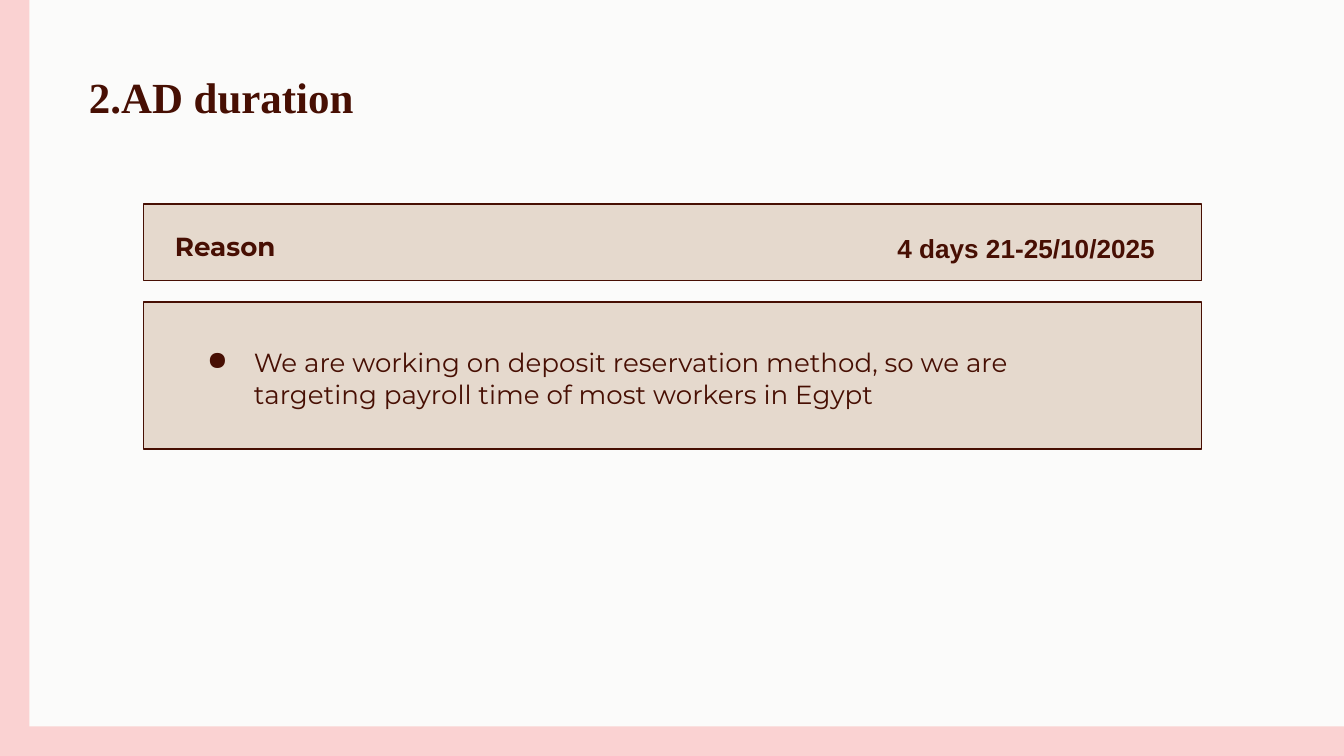
from lxml import etree
from pptx import Presentation
from pptx.dml.color import RGBColor
from pptx.enum.shapes import MSO_SHAPE
from pptx.enum.text import MSO_ANCHOR
from pptx.oxml.ns import qn
from pptx.util import Pt

RECTANGLE = MSO_SHAPE.RECTANGLE
TOP, MIDDLE = MSO_ANCHOR.TOP, MSO_ANCHOR.MIDDLE

COLORS = {"page": "FBFBFA", "border": "FAD2D2", "panel": "E5D9CD", "ink": "470F03"}
WIDTH, HEIGHT, BORDER = 720, 405, 15.8
PANEL_LEFT, PANEL_WIDTH = 77, 566.6
INSET = 7.2

# Content: places are left, top, width, height
BORDERS = [(0, HEIGHT - BORDER, WIDTH, BORDER), (0, 0, BORDER, HEIGHT)]
PANELS = [(PANEL_LEFT, 109.4, PANEL_WIDTH, 40.8), (PANEL_LEFT, 161.8, PANEL_WIDTH, 78.8)]
TEXTS = [
    {"text": "2.AD duration", "place": (40.5, 28.8, 214.6, 45.4), "anchor": MIDDLE,
     "font": {"name": "Times New Roman", "size": Pt(23), "bold": True}},
    {"text": "4 days 21-25/10/2025", "place": (473.6, 114.6, 170, 31.7), "spacing": 1.15,
     "font": {"name": "Arial", "size": Pt(14), "bold": True}},
    {"text": "Reason", "place": (86.6, 116, 127.4, 28),
     "font": {"name": "Montserrat", "size": Pt(14), "bold": True}},
    {"text": "We are working on deposit reservation method, so we are "
             "targeting payroll time of most workers in Egypt",
     "place": (92.9, 178.6, 489.6, 48.2), "bullet": "●",
     "font": {"name": "Montserrat", "size": Pt(14), "bold": False}},
]


def color(name):
    return RGBColor.from_string(COLORS[name])


def add_rectangle(page, place, fill, line=None):
    shape = page.shapes.add_shape(RECTANGLE, *map(Pt, place))
    shape.shadow.inherit = False
    shape.fill.solid()
    shape.fill.fore_color.rgb = color(fill)
    if line:
        shape.line.color.rgb = color(line)
        shape.line.width = Pt(0.75)
    else:
        shape.line.fill.background()


def add_bullet(para, mark):
    properties = para._p.get_or_add_pPr()
    properties.set("marL", str(Pt(36)))
    properties.set("indent", str(-Pt(25)))
    bullet_color = etree.SubElement(properties, qn("a:buClr"))
    etree.SubElement(bullet_color, qn("a:srgbClr"), val=COLORS["ink"])
    etree.SubElement(properties, qn("a:buChar"), char=mark)


def add_text(page, item):
    box = page.shapes.add_textbox(*map(Pt, item["place"]))
    frame = box.text_frame
    frame.word_wrap = True
    frame.vertical_anchor = item.get("anchor", TOP)
    for side in ("left", "top", "right", "bottom"):
        setattr(frame, f"margin_{side}", Pt(INSET))
    para = frame.paragraphs[0]
    if "bullet" in item:
        add_bullet(para, item["bullet"])
    if "spacing" in item:
        para.line_spacing = item["spacing"]
    span = para.add_run()
    span.text = item["text"]
    for name, value in item["font"].items():
        setattr(span.font, name, value)
    span.font.color.rgb = color("ink")


def main():
    deck = Presentation()
    deck.slide_width, deck.slide_height = Pt(WIDTH), Pt(HEIGHT)
    page = deck.slides.add_slide(deck.slide_layouts[6])
    page.background.fill.solid()
    page.background.fill.fore_color.rgb = color("page")

    # Page border and panels
    for place in BORDERS:
        add_rectangle(page, place, "border")
    for place in PANELS:
        add_rectangle(page, place, "panel", "ink")

    # Title, labels and reason
    for item in TEXTS:
        add_text(page, item)

    deck.save("out.pptx")


if __name__ == "__main__":
    main()
